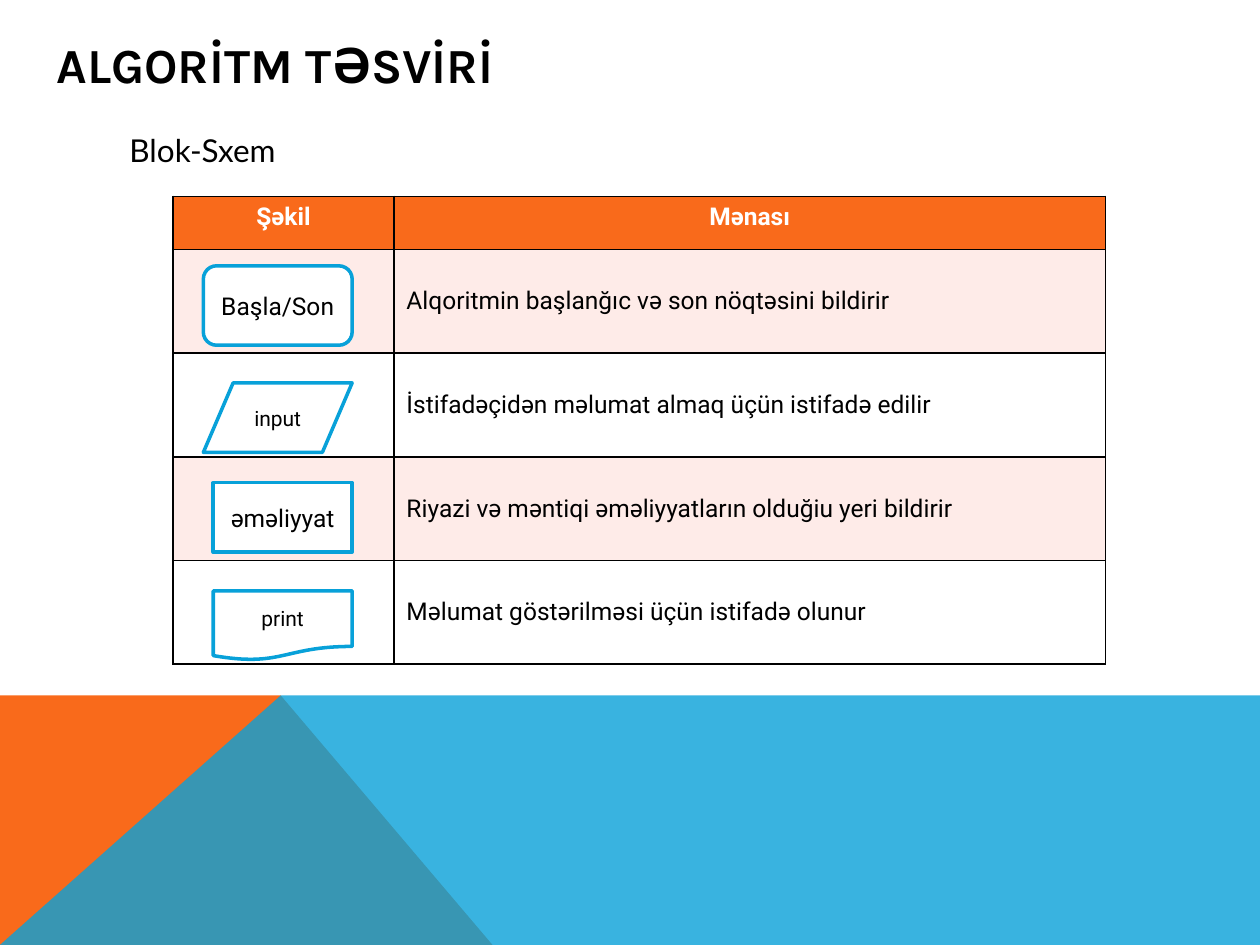
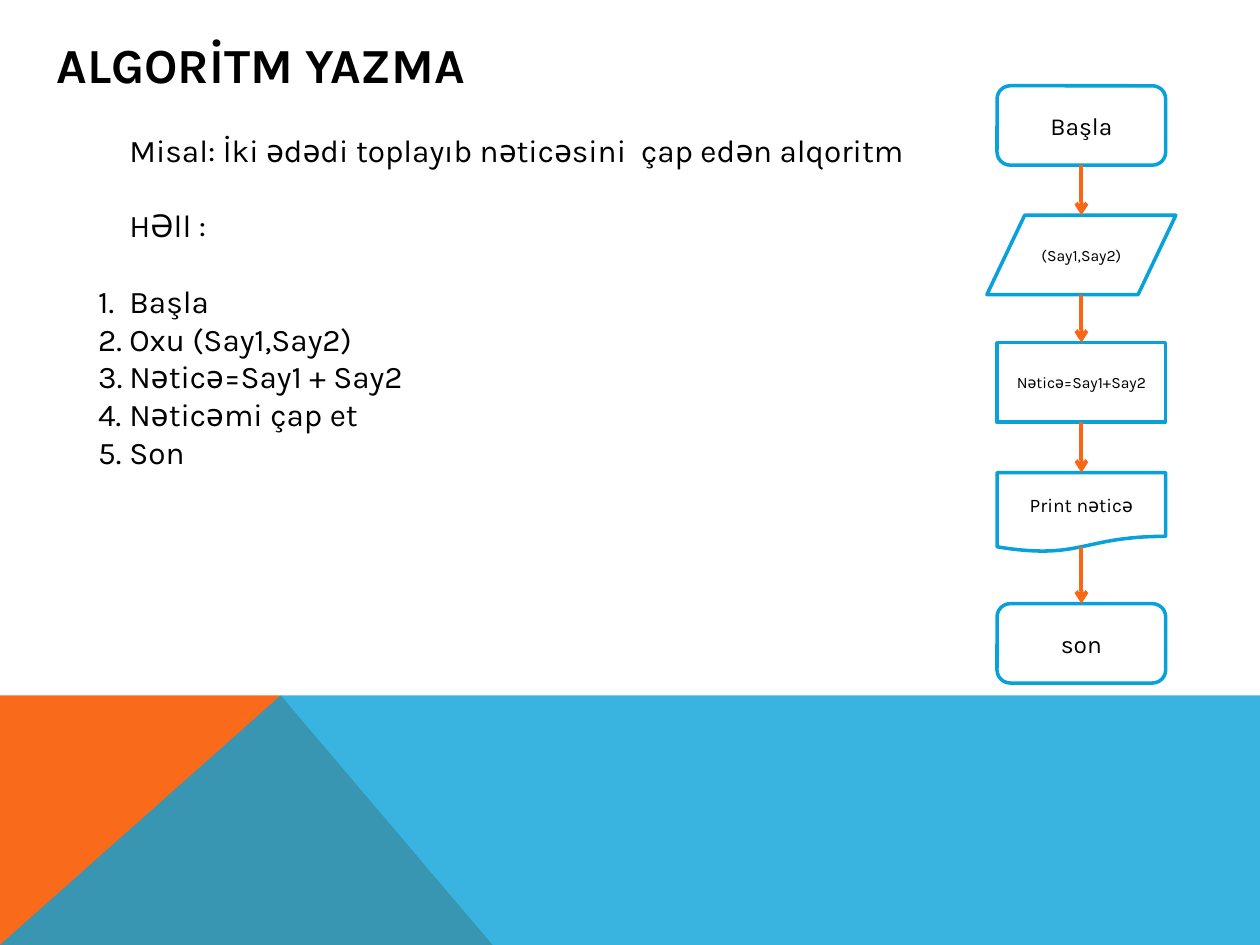
from itertools import pairwise

from lxml.etree import SubElement
from pptx import Presentation
from pptx.dml.color import RGBColor
from pptx.enum.shapes import MSO_CONNECTOR, MSO_SHAPE
from pptx.enum.text import MSO_ANCHOR, PP_ALIGN
from pptx.oxml.ns import qn
from pptx.util import Cm, Pt

BLACK, WHITE = "000000", "FFFFFF"
ORANGE, BLUE, PINK, ARROW = "F96A1B", "08A1D9", "FEEBE8", "F96615"
WIDTH, HEIGHT, BAND_TOP, PEAK = 25.4, 19.05, 14.02, 5.66
LINE = 21.6


def color(value):
    return RGBColor.from_string(value)


def fill(target, value):
    target.fill.solid()
    target.fill.fore_color.rgb = color(value)


def write(paragraph, text, font="Karla", size=18, ink=BLACK, bold=False,
          align=PP_ALIGN.LEFT):
    paragraph.alignment = align
    run = paragraph.add_run()
    run.text = text
    run.font.name = font
    run.font.size = Pt(size)
    run.font.bold = bold
    run.font.color.rgb = color(ink)


def add_text_box(slide, left, top, width, height, anchor=MSO_ANCHOR.TOP):
    box = slide.shapes.add_textbox(Cm(left), Cm(top), Cm(width), Cm(height))
    frame = box.text_frame
    frame.word_wrap = True
    frame.vertical_anchor = anchor
    return frame


def add_band(slide, points, value, opacity=100):
    corners = [(Cm(x), Cm(y)) for x, y in points]
    builder = slide.shapes.build_freeform(*corners[0])
    builder.add_line_segments(corners[1:], close=True)
    shape = builder.convert_to_shape()
    shape.shadow.inherit = False
    fill(shape, value)
    shape.line.fill.background()
    if opacity < 100:
        tint = shape.fill._xPr.find(qn("a:solidFill"))[0]
        SubElement(tint, qn("a:alpha"), val=str(opacity * 1000))


def add_page(presentation, title):
    slide = presentation.slides.add_slide(presentation.slide_layouts[6])
    add_band(slide, [(0, HEIGHT), (0, BAND_TOP), (PEAK, BAND_TOP),
                     (9.93, HEIGHT)], ORANGE)
    add_band(slide, [(0, HEIGHT), (PEAK, BAND_TOP), (WIDTH, BAND_TOP),
                     (WIDTH, HEIGHT)], BLUE, opacity=80)
    frame = add_text_box(slide, 0.89, 0.53, 20.9, 1.52, MSO_ANCHOR.MIDDLE)
    write(frame.paragraphs[0], title, size=28, bold=True)
    return slide


def add_body_line(frame, text, first=False, numbered=False, gap=0, **style):
    paragraph = frame.paragraphs[0] if first else frame.add_paragraph()
    write(paragraph, text, align=PP_ALIGN.JUSTIFY, **style)
    paragraph.line_spacing = Pt(LINE)
    paragraph.space_before = Pt(gap)
    properties = paragraph._p.get_or_add_pPr()
    properties.set("marL", str(Cm(1.27)))
    properties.set("indent", str(-Cm(0.63) if numbered else 0))
    if numbered:
        SubElement(properties, qn("a:buFont"), typeface="Karla")
        SubElement(properties, qn("a:buAutoNum"), type="arabicPeriod")


def add_block(slide, kind, text, left, top, width, height, font, size):
    block = slide.shapes.add_shape(kind, Cm(left), Cm(top), Cm(width), Cm(height))
    block.shadow.inherit = False
    fill(block, WHITE)
    block.line.color.rgb = color(BLUE)
    block.line.width = Pt(2)
    block.text_frame.word_wrap = True
    block.text_frame.vertical_anchor = MSO_ANCHOR.MIDDLE
    write(block.text_frame.paragraphs[0], text, font, size, align=PP_ALIGN.CENTER)


def add_arrow(slide, x, top, bottom):
    arrow = slide.shapes.add_connector(MSO_CONNECTOR.STRAIGHT, Cm(x), Cm(top),
                                       Cm(x), Cm(bottom))
    arrow.line.color.rgb = color(ARROW)
    arrow.line.width = Pt(2.25)
    SubElement(arrow.line._get_or_add_ln(), qn("a:tailEnd"), type="arrow")
    SubElement(arrow._element.spPr, qn("a:effectLst"))


def border_cell(cell):
    properties = cell._tc.get_or_add_tcPr()
    for index, side in enumerate("LRTB"):
        line = SubElement(properties, qn(f"a:ln{side}"), w=str(Pt(1)))
        solid = SubElement(line, qn("a:solidFill"))
        SubElement(solid, qn("a:srgbClr"), val=BLACK)
        properties.insert(index, line)


def add_meaning_table(slide, headers, meanings):
    widths = (4.45, 14.35)
    heights = [1.07] + [2.09] * len(meanings)
    table = slide.shapes.add_table(len(heights), len(widths), Cm(3.49), Cm(3.96),
                                   Cm(sum(widths)), Cm(sum(heights))).table
    for column, width in zip(table.columns, widths):
        column.width = Cm(width)
    for row, height in zip(table.rows, heights):
        row.height = Cm(height)
    for index, row in enumerate(table.rows):
        for cell in row.cells:
            fill(cell, ORANGE if index == 0 else PINK if index % 2 else WHITE)
            border_cell(cell)
    for cell, text in zip(table.rows[0].cells, headers):
        write(cell.text_frame.paragraphs[0], text, "Roboto", 14, WHITE, True,
              PP_ALIGN.CENTER)
    for index, text in enumerate(meanings, 1):
        cell = table.cell(index, 1)
        cell.vertical_anchor = MSO_ANCHOR.MIDDLE
        write(cell.text_frame.paragraphs[0], text, "Roboto", 14)


def add_symbols_page(presentation):
    slide = add_page(presentation, "ALGORİTM TƏSVİRİ")
    frame = add_text_box(slide, 1.09, 2.51, 23.6, 1.02)
    add_body_line(frame, "Blok-Sxem", first=True, font="Lato")
    add_meaning_table(slide, ("Şəkil", "Mənası"), (
        "Alqoritmin başlanğıc və son nöqtəsini bildirir",
        "İstifadəçidən məlumat almaq üçün istifadə edilir",
        "Riyazi və məntiqi əməliyyatların olduğiu yeri bildirir",
        "Məlumat göstərilməsi üçün istifadə olunur",
    ))
    right = 7.1
    for kind, text, top, width, height, size in (
        (MSO_SHAPE.ROUNDED_RECTANGLE, "Başla/Son", 5.36, 3, 1.6, 14),
        (MSO_SHAPE.FLOWCHART_DATA, "input", 7.72, 3, 1.4, 12),
        (MSO_SHAPE.FLOWCHART_PROCESS, "əməliyyat", 9.73, 2.8, 1.4, 14),
        (MSO_SHAPE.FLOWCHART_DOCUMENT, "print", 11.91, 2.8, 1.4, 12),
    ):
        add_block(slide, kind, text, right - width, top, width, height, "Roboto", size)


def add_example_page(presentation):
    slide = add_page(presentation, "ALGORİTM YAZMA")
    frame = add_text_box(slide, 1.09, 2.51, 23.6, 13.34)
    add_body_line(frame, "Misal: İki ədədi toplayıb nəticəsini  çap edən alqoritm",
                  first=True)
    add_body_line(frame, "HƏll : ", gap=LINE)
    steps = ("Başla ", "Oxu (Say1,Say2)", "Nəticə=Say1 + Say2", "Nəticəmi çap et", "Son")
    for index, step in enumerate(steps):
        add_body_line(frame, step, numbered=True, gap=0 if index else LINE)

    center, height = 21.8, 1.6
    flow = (
        (MSO_SHAPE.FLOWCHART_ALTERNATE_PROCESS, "Başla", 1.73, 3.4, 14),
        (MSO_SHAPE.FLOWCHART_DATA, "(Say1,Say2)", 4.34, 3.81, 9),
        (MSO_SHAPE.FLOWCHART_PROCESS, "Nəticə=Say1+Say2", 6.91, 3.4, 9),
        (MSO_SHAPE.FLOWCHART_DOCUMENT, "Print nəticə", 9.53, 3.4, 11),
        (MSO_SHAPE.FLOWCHART_ALTERNATE_PROCESS, "son", 12.17, 3.4, 14),
    )
    for kind, text, top, width, size in flow:
        add_block(slide, kind, text, center - width / 2, top, width, height,
                  "Karla", size)
    for (kind, _, top, *_), (_, _, next_top, *_) in pairwise(flow):
        wave = 0.1 if kind == MSO_SHAPE.FLOWCHART_DOCUMENT else 0
        add_arrow(slide, center, top + height - wave, next_top)


def main():
    presentation = Presentation()
    presentation.slide_width = Cm(WIDTH)
    presentation.slide_height = Cm(HEIGHT)
    add_symbols_page(presentation)
    add_example_page(presentation)
    presentation.save("out.pptx")


main()
